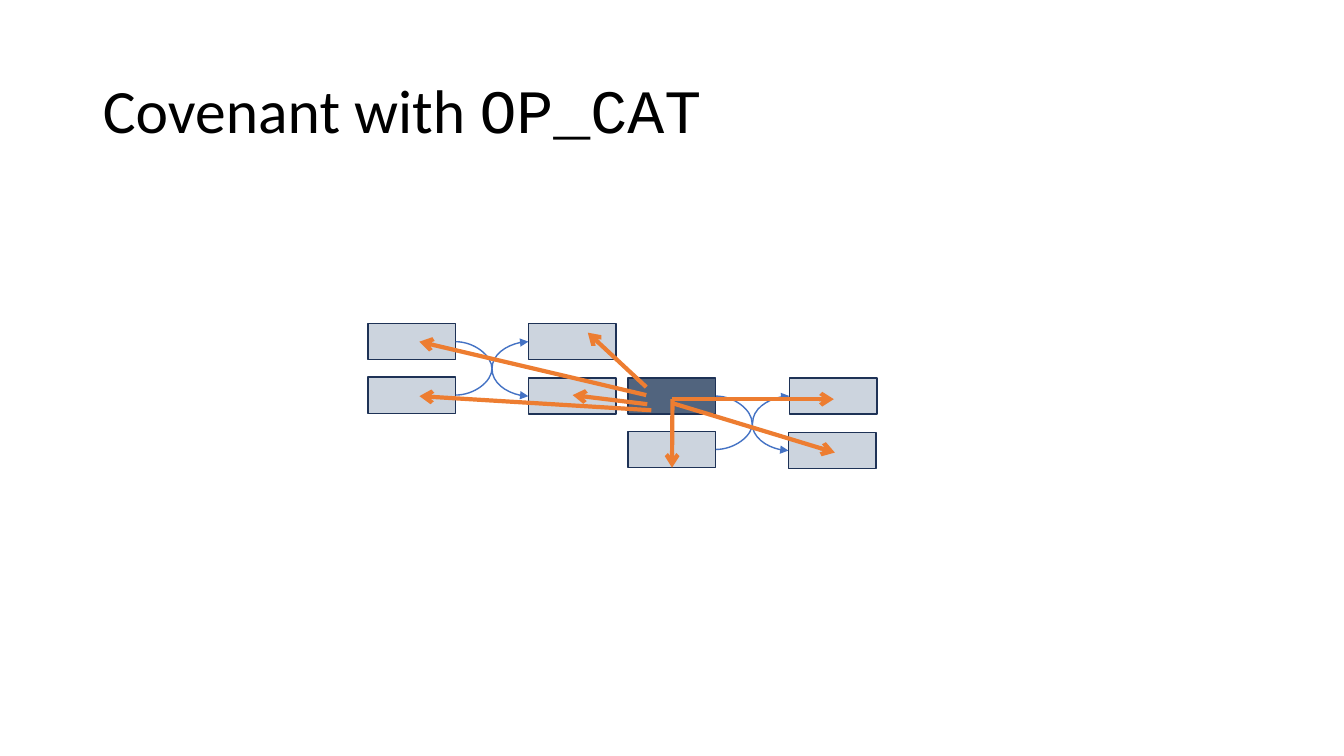
import pptx
import pptx.dml.color
import pptx.enum.shapes
import pptx.enum.text
import pptx.util
from pptx.oxml.ns import qn

EMU_PER_PX = 9144  # 100 px to the inch
BOX_W, BOX_H = 87, 36
TOP, LEFT, BOTTOM, RIGHT = range(4)  # connection sites of a rectangle

PALE, DARK, OUTLINE = "CCD4DE", "51647E", "1E3256"
BLUE, ORANGE = "4472C4", "ED7D31"


def px(n):
    return pptx.util.Emu(n * EMU_PER_PX)


def color(hex_string):
    return pptx.dml.color.RGBColor.from_string(hex_string)


def set_title(slide, runs):
    sp = slide.shapes.title
    sp.left, sp.top, sp.width, sp.height = px(92), px(40), px(1150), px(145)
    tf = sp.text_frame
    tf.word_wrap = True
    tf.auto_size = pptx.enum.text.MSO_AUTO_SIZE.NONE
    tf.vertical_anchor = pptx.enum.text.MSO_ANCHOR.MIDDLE
    p = tf.paragraphs[0]
    p.alignment = pptx.enum.text.PP_ALIGN.LEFT
    p.line_spacing = 0.9
    p.font.size = pptx.util.Pt(44)
    p.font.color.rgb = color("000000")
    for text, font in runs:
        r = p.add_run()
        r.text = text
        r.font.name = font


def add_box(slide, x, y, fill=PALE):
    sp = slide.shapes.add_shape(
        pptx.enum.shapes.MSO_SHAPE.RECTANGLE, px(x), px(y), px(BOX_W), px(BOX_H))
    sp.shadow.inherit = False
    sp.fill.solid()
    sp.fill.fore_color.rgb = color(fill)
    sp.line.color.rgb = color(OUTLINE)
    sp.line.width = pptx.util.Pt(1)
    return sp


def add_arrow(slide, kind, start, end, line, width, head):
    cxn = slide.shapes.add_connector(kind, *map(px, start + end))
    cxn.line.color.rgb = color(line)
    cxn.line.width = pptx.util.Pt(width)
    ln = cxn.line._get_or_add_ln()
    ln.append(ln.makeelement(qn("a:tailEnd"), {"type": head}))
    sp_pr = cxn._element.spPr
    sp_pr.append(sp_pr.makeelement(qn("a:effectLst"), {}))
    return cxn


def add_swap(slide, sources, targets):
    """Cross two curves from the source pair to the target pair."""
    for source, target in zip(sources, reversed(targets)):
        cxn = add_arrow(slide, pptx.enum.shapes.MSO_CONNECTOR.CURVE,
                        (0, 0), (0, 0), BLUE, 1, "triangle")
        cxn.begin_connect(source, RIGHT)
        cxn.end_connect(target, LEFT)


def add_pointer(slide, start, end):
    return add_arrow(slide, pptx.enum.shapes.MSO_CONNECTOR.STRAIGHT,
                     start, end, ORANGE, 3, "arrow")


def main():
    prs = pptx.Presentation()
    prs.slide_width, prs.slide_height = px(1333), px(750)
    slide = prs.slides.add_slide(prs.slide_layouts[5])
    set_title(slide, [("Covenant with ", "Calibri"), ("OP_CAT", "Courier New")])

    # Covenant box with its partner, and their outputs
    covenant = add_box(slide, 623, 375, DARK)
    partner = add_box(slide, 623, 428)
    outputs = [add_box(slide, 783, 375), add_box(slide, 782, 429)]
    add_swap(slide, [covenant, partner], outputs)

    # Earlier pair of boxes on the left
    inputs = [add_box(slide, 365, 321), add_box(slide, 365, 374)]
    middle = [add_box(slide, 524, 321), add_box(slide, 524, 375)]
    add_swap(slide, inputs, middle)

    # Pointers from the covenant box to every other box
    for start, end in [
        ((641, 384), (583, 330)),
        ((642, 401), (568, 392)),
        ((641, 392), (416, 339)),
        ((646, 407), (416, 393)),
        ((667, 396), (827, 396)),
        ((667, 400), (828, 449)),
    ]:
        add_pointer(slide, start, end)
    add_pointer(slide, (667, 396), (667, 464)).end_connect(partner, BOTTOM)

    prs.save("out.pptx")


if __name__ == "__main__":
    main()
